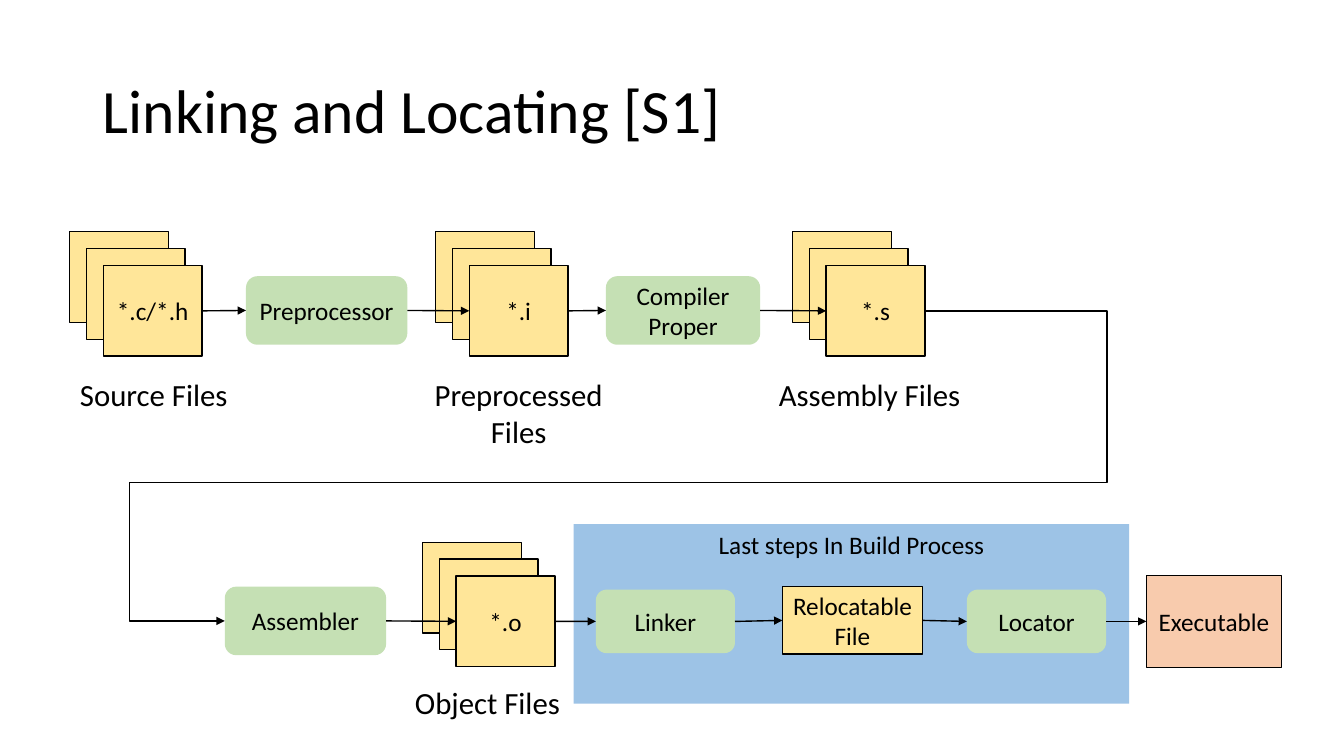
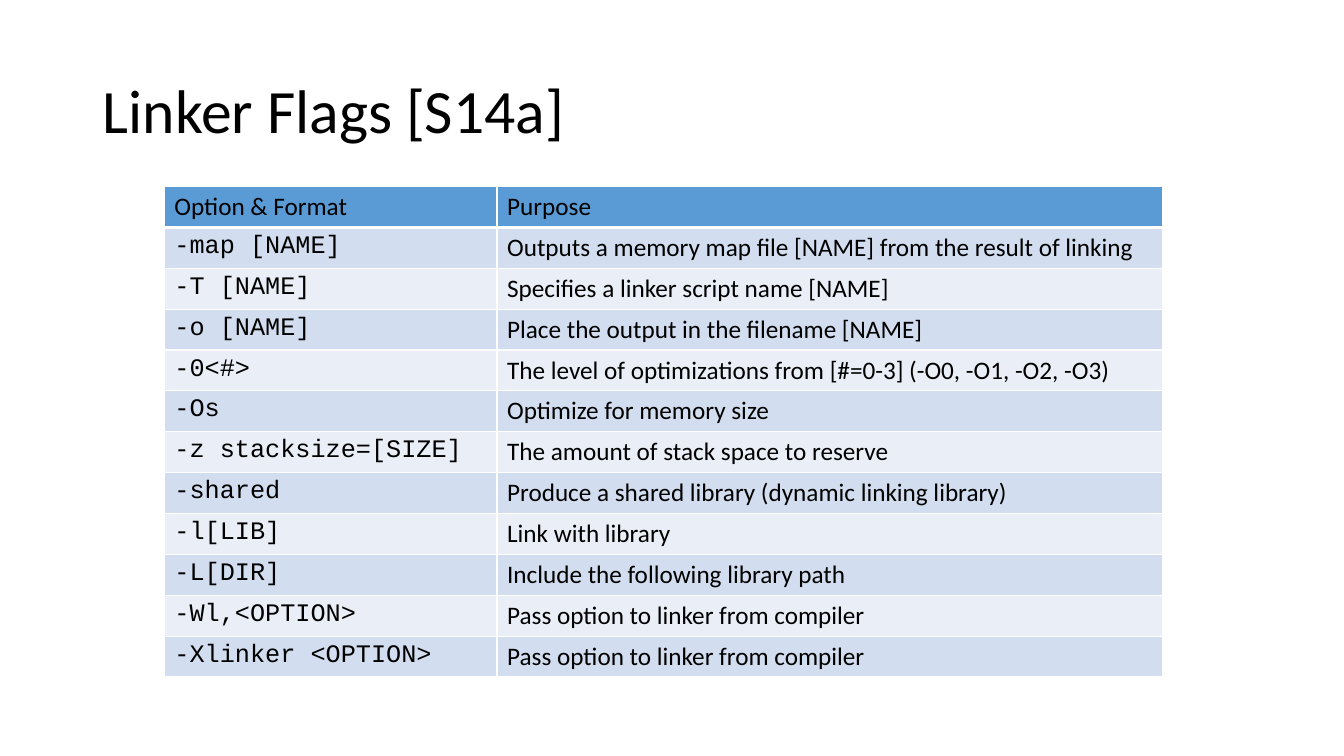
from collections import namedtuple

from lxml import etree
from pptx import Presentation
from pptx.dml.color import RGBColor
from pptx.enum.shapes import MSO_CONNECTOR, MSO_SHAPE
from pptx.enum.text import MSO_ANCHOR, PP_ALIGN
from pptx.oxml.ns import qn
from pptx.util import Inches, Pt

Box = namedtuple("Box", "left top width height")

STRAIGHT, ELBOW = MSO_CONNECTOR.STRAIGHT, MSO_CONNECTOR.ELBOW
RECTANGLE, ROUNDED = MSO_SHAPE.RECTANGLE, MSO_SHAPE.ROUNDED_RECTANGLE
TOP, MIDDLE = MSO_ANCHOR.TOP, MSO_ANCHOR.MIDDLE
LEFT, CENTER = PP_ALIGN.LEFT, PP_ALIGN.CENTER
LEFT_SIDE, RIGHT_SIDE = 1, 3

GRID = 0.1
BLACK, WHITE = "000000", "FFFFFF"
FILE_FILL, STEP_FILL, PANEL_FILL, RESULT_FILL = "FFE699", "C5E0B4", "9DC3E6", "F8CBAD"
HEADER_FILL, BAND_FILLS = "5B9BD5", ("D2DEEF", "EAEFF7")
TEXT_FONT, CODE_FONT = "Calibri", "Courier New"
BODY_SIZE, CAPTION_SIZE, TITLE_SIZE = 18, 22, 44

TITLE_BOX = Box(9.2, 4, 115, 14.5)
COMPILE_BOX = Box(6.9, 23, 84.8, 22.2)
LINK_BOX = Box(22.3, 52, 104.8, 20)
TABLE_BOX = Box(16.3, 18.5, 99, 48.7)

STEP_HEIGHT = 6.8
SHEET_WIDTH, SHEET_HEIGHT, SHEET_SHIFT = 9.8, 9, 1.67
RETURN_BENDS = (-26000, 55400, 113600)

FLAGS = [
    ("-map [NAME]", "Outputs a memory map file [NAME] from the result of linking"),
    ("-T [NAME]", "Specifies a linker script name [NAME]"),
    ("-o [NAME]", "Place the output in the filename [NAME]"),
    ("-0<#>", "The level of optimizations from [#=0-3] (-O0, -O1, -O2, -O3)"),
    ("-Os", "Optimize for memory size"),
    ("-z stacksize=[SIZE]", "The amount of stack space to reserve"),
    ("-shared", "Produce a shared library (dynamic linking library)"),
    ("-l[LIB]", "Link with library"),
    ("-L[DIR]", "Include the following library path"),
    ("-Wl,<OPTION>", "Pass option to linker from compiler"),
    ("-Xlinker <OPTION>", "Pass option to linker from compiler"),
]


def color(code):
    return RGBColor.from_string(code)


def cells(count):
    return Inches(count * GRID)


def place(box):
    return [cells(length) for length in box]


def within(box, left, top, width, height):
    return Box(box.left + left, box.top + top, width, height)


def write(frame, lines, size=BODY_SIZE, font=TEXT_FONT, align=CENTER, anchor=MIDDLE):
    frame.word_wrap = True
    frame.vertical_anchor = anchor
    for index, line in enumerate(lines):
        para = frame.paragraphs[0] if index == 0 else frame.add_paragraph()
        para.alignment = align
        span = para.add_run()
        span.text = line
        span.font.size = Pt(size)
        span.font.name = font
        span.font.bold = False
        span.font.color.rgb = color(BLACK)


def add_block(shapes, box, fill, lines=(), kind=RECTANGLE, outlined=True, anchor=MIDDLE):
    block = shapes.add_shape(kind, *place(box))
    block.shadow.inherit = False
    block.fill.solid()
    block.fill.fore_color.rgb = color(fill)
    if outlined:
        block.line.color.rgb = color(BLACK)
        block.line.width = Pt(1)
    else:
        block.line.fill.background()
    frame = block.text_frame
    frame.margin_left = frame.margin_right = Inches(0.05)
    write(frame, lines, anchor=anchor)
    return block


def add_step(page, box, *lines):
    return add_block(page.shapes, box, STEP_FILL, lines, ROUNDED, False)


def add_file_stack(page, box, label):
    group = page.shapes.add_group_shape()
    for index, lines in enumerate([(), (), (label,)]):
        shift = index * SHEET_SHIFT
        sheet_box = within(box, shift, shift, SHEET_WIDTH, SHEET_HEIGHT)
        sheet = add_block(group.shapes, sheet_box, FILE_FILL, lines)
    return sheet


def add_caption(page, box, *lines):
    caption = page.shapes.add_textbox(*place(box))
    write(caption.text_frame, lines, CAPTION_SIZE, anchor=TOP)


def add_arrow(page, source, target, kind=STRAIGHT):
    arrow = page.shapes.add_connector(kind, 0, 0, 0, 0)
    arrow.begin_connect(source, RIGHT_SIDE)
    arrow.end_connect(target, LEFT_SIDE)
    arrow.line.color.rgb = color(BLACK)
    arrow.line.width = Pt(1)
    properties = arrow._element.spPr
    etree.SubElement(properties.find(qn("a:ln")), qn("a:tailEnd"), type="triangle")
    etree.SubElement(properties, qn("a:effectLst"))
    return arrow


def add_return_arrow(page, source, target):
    arrow = add_arrow(page, source, target, ELBOW)
    geometry = arrow._element.spPr.find(qn("a:prstGeom"))
    geometry.set("prst", "bentConnector5")
    guides = geometry.find(qn("a:avLst"))
    for number, bend in enumerate(RETURN_BENDS, 1):
        etree.SubElement(guides, qn("a:gd"), name=f"adj{number}", fmla=f"val {bend}")


def chain(page, stages):
    for source, target in zip(stages, stages[1:]):
        add_arrow(page, source, target)


def add_compile_row(page, box):
    def stack(left, label):
        return add_file_stack(page, within(box, left, 0, 0, 0), label)

    def step(left, width, *lines):
        return add_step(page, within(box, left, 4.4, width, STEP_HEIGHT), *lines)

    stages = [
        stack(0, "*.c/*.h"),
        step(17.5, 16, "Preprocessor"),
        stack(36.3, "*.i"),
        step(53.2, 15.3, "Compiler", "Proper"),
        stack(71.7, "*.s"),
    ]
    chain(page, stages)
    for left, width, lines in [
        (-3.2, 23.1, ("Source Files",)),
        (29.9, 29.3, ("Preprocessed", "Files")),
        (67.8, 23.1, ("Assembly Files",)),
    ]:
        add_caption(page, within(box, left, 13.8, width, 4.7 * len(lines)), *lines)
    return stages[-1]


def add_link_row(page, box):
    add_block(page.shapes, within(box, 34.6, 0, 55.1, 17.8), PANEL_FILL,
              ["Last steps In Build Process"], outlined=False, anchor=TOP)
    stages = [
        add_step(page, within(box, 0, 6.2, 16, STEP_HEIGHT), "Assembler"),
        add_file_stack(page, within(box, 19.6, 1.8, 0, 0), "*.o"),
        add_step(page, within(box, 36.8, 6.5, 13.8, 6.3), "Linker"),
        add_block(page.shapes, within(box, 55.3, 6.2, 13.9, 6.7), FILE_FILL,
                  ["Relocatable File"]),
        add_step(page, within(box, 73.6, 6.5, 13.8, 6.3), "Locator"),
        add_block(page.shapes, within(box, 91.4, 5.1, 13.4, 9.1), RESULT_FILL,
                  ["Executable"]),
    ]
    chain(page, stages)
    add_caption(page, within(box, 14.5, 15.3, 23.1, 4.7), "Object Files")
    return stages[0]


def add_borders(cell, bottom_width):
    properties = cell._tc.get_or_add_tcPr()
    for side, width in [("L", 1), ("R", 1), ("T", 1), ("B", bottom_width)]:
        line = etree.SubElement(properties, qn(f"a:ln{side}"), w=str(Pt(width)))
        fill = etree.SubElement(line, qn("a:solidFill"))
        etree.SubElement(fill, qn("a:srgbClr"), val=WHITE)


def add_flag_table(page, box):
    rows = [("Option & Format", "Purpose")] + FLAGS
    table = page.shapes.add_table(len(rows), 2, *place(box)).table
    for column, share in zip(table.columns, (1 / 3, 2 / 3)):
        column.width = cells(box.width * share)
    for row_index, texts in enumerate(rows):
        table.rows[row_index].height = cells(box.height / len(rows))
        header = row_index == 0
        fill = HEADER_FILL if header else BAND_FILLS[(row_index - 1) % 2]
        for column_index, text in enumerate(texts):
            cell = table.cell(row_index, column_index)
            add_borders(cell, 3 if header else 1)
            cell.fill.solid()
            cell.fill.fore_color.rgb = color(fill)
            font = CODE_FONT if column_index == 0 and not header else TEXT_FONT
            write(cell.text_frame, [text], font=font, align=LEFT, anchor=TOP)


def add_page(deck, title_text):
    page = deck.slides.add_slide(deck.slide_layouts.get_by_name("Title Only"))
    page.background.fill.solid()
    page.background.fill.fore_color.rgb = color(WHITE)
    title = page.shapes.title
    title.left, title.top, title.width, title.height = place(TITLE_BOX)
    write(title.text_frame, [title_text], TITLE_SIZE, align=LEFT)
    title.text_frame.paragraphs[0].line_spacing = 0.9
    return page


def add_build_page(deck):
    page = add_page(deck, "Linking and Locating [S1]")
    assembly_files = add_compile_row(page, COMPILE_BOX)
    assembler = add_link_row(page, LINK_BOX)
    add_return_arrow(page, assembly_files, assembler)


def add_flags_page(deck):
    page = add_page(deck, "Linker Flags [S14a]")
    add_flag_table(page, TABLE_BOX)


def main():
    deck = Presentation()
    deck.slide_width, deck.slide_height = Inches(13.33), Inches(7.5)
    add_build_page(deck)
    add_flags_page(deck)
    deck.save("out.pptx")


if __name__ == "__main__":
    main()
